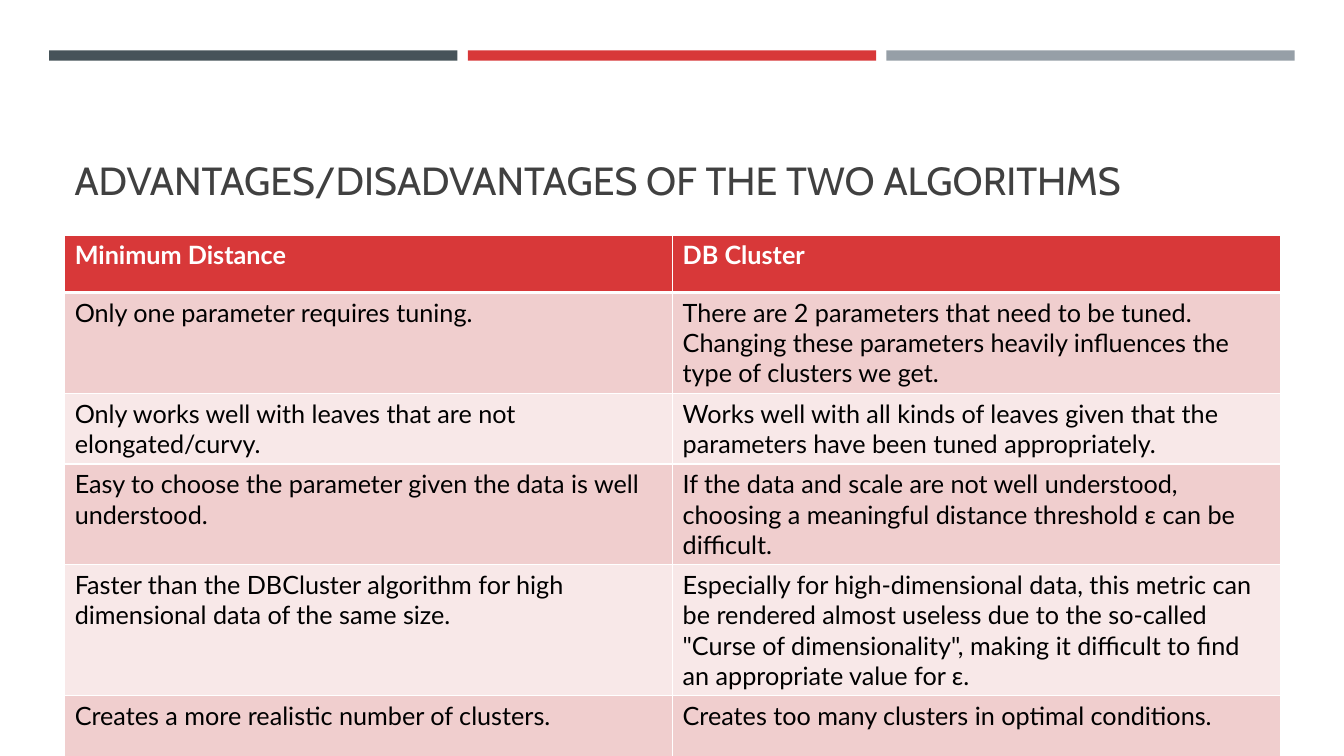
from dataclasses import dataclass

from lxml import etree
from pptx import Presentation
from pptx.dml.color import RGBColor
from pptx.enum.shapes import MSO_SHAPE
from pptx.enum.text import MSO_ANCHOR
from pptx.oxml.ns import qn
from pptx.slide import Slide
from pptx.table import _Cell
from pptx.text.text import TextFrame
from pptx.util import Cm, Pt

RECTANGLE = MSO_SHAPE.RECTANGLE
BOTTOM = MSO_ANCHOR.BOTTOM


@dataclass(frozen=True)
class Theme:
    slate: str = "465359"
    red: str = "D83839"
    gray: str = "969FA7"
    title: str = "404040"
    body: str = "000000"
    white: str = "FFFFFF"
    odd_band: str = "F0CECE"
    even_band: str = "F8E8E8"
    title_font: str = "Cabin"
    body_font: str = "Lato"
    title_size: int = 28
    body_size: int = 18


@dataclass(frozen=True)
class Comparison:
    minimum_distance: str
    db_cluster: str
    height: float


THEME = Theme()
MARGIN = 1.63
CONTENT_WIDTH = 30.64
BAR_LEFT, BAR_TOP, BAR_WIDTH, BAR_HEIGHT, BAR_PITCH = 1.24, 1.27, 10.29, 0.26, 10.55
BAR_COLORS = (THEME.slate, THEME.red, THEME.gray)

COMPARISONS = (
    Comparison("Minimum Distance", "DB Cluster", 1.45),
    Comparison(
        "Only one parameter requires tuning.",
        "There are 2 parameters that need to be tuned. Changing these parameters "
        "heavily influences the type of clusters we get.",
        2.46,
    ),
    Comparison(
        "Only works well with leaves that are not elongated/curvy.",
        "Works well with all kinds of leaves given that the parameters have been "
        "tuned appropriately.",
        1.73,
    ),
    Comparison(
        "Easy to choose the parameter given the data is well understood.",
        "If the data and scale are not well understood, choosing a meaningful "
        "distance threshold ε can be difficult.",
        1.73,
    ),
    Comparison(
        "Faster than the DBCluster algorithm for high dimensional data of the same size.",
        "Especially for high-dimensional data, this metric can be rendered almost "
        'useless due to the so-called "Curse of dimensionality", making it difficult '
        "to find an appropriate value for ε.",
        3.23,
    ),
    Comparison(
        "Creates a more realistic number of clusters.",
        "Creates too many clusters in optimal conditions.",
        2.03,
    ),
)


def write(frame: TextFrame, text: str, *, font: str = THEME.body_font,
          size: int = THEME.body_size, color: str = THEME.body,
          bold: bool = False) -> None:
    frame.word_wrap = True
    run = frame.paragraphs[0].add_run()
    run.text = text
    run.font.name = font
    run.font.size = Pt(size)
    run.font.bold = bold
    run.font.color.rgb = RGBColor.from_string(color)


def add_bar(slide: Slide, index: int, color: str) -> None:
    bar = slide.shapes.add_shape(
        RECTANGLE, Cm(BAR_LEFT + index * BAR_PITCH), Cm(BAR_TOP),
        Cm(BAR_WIDTH), Cm(BAR_HEIGHT))
    bar.shadow.inherit = False
    bar.fill.solid()
    bar.fill.fore_color.rgb = RGBColor.from_string(color)
    bar.line.fill.background()


def add_title(slide: Slide, text: str) -> None:
    title = slide.shapes.add_textbox(
        Cm(MARGIN), Cm(1.96), Cm(CONTENT_WIDTH), Cm(3.3))
    title.text_frame.vertical_anchor = BOTTOM
    write(title.text_frame, text, font=THEME.title_font,
          size=THEME.title_size, color=THEME.title)


def set_borders(cell: _Cell, top: int, bottom: int) -> None:
    """Add white borders with widths in points; call before filling the cell."""
    properties = cell._tc.get_or_add_tcPr()
    for side, width in (("L", 1), ("R", 1), ("T", top), ("B", bottom)):
        border = etree.SubElement(properties, qn(f"a:ln{side}"), w=str(Pt(width)))
        fill = etree.SubElement(border, qn("a:solidFill"))
        etree.SubElement(fill, qn("a:srgbClr"), val=THEME.white)


def add_comparison_table(slide: Slide, comparisons: tuple[Comparison, ...]) -> None:
    table = slide.shapes.add_table(
        len(comparisons), 2, Cm(MARGIN), Cm(5.92), Cm(CONTENT_WIDTH),
        Cm(sum(comparison.height for comparison in comparisons))).table
    for row, comparison in enumerate(comparisons):
        table.rows[row].height = Cm(comparison.height)
        is_header = row == 0
        band = THEME.odd_band if row % 2 else THEME.even_band
        for column, text in enumerate(
                (comparison.minimum_distance, comparison.db_cluster)):
            cell = table.cell(row, column)
            set_borders(cell, top=3 if row == 1 else 1, bottom=3 if is_header else 1)
            cell.fill.solid()
            cell.fill.fore_color.rgb = RGBColor.from_string(
                THEME.red if is_header else band)
            write(cell.text_frame, text, bold=is_header,
                  color=THEME.white if is_header else THEME.body)


def main() -> None:
    presentation = Presentation()
    presentation.slide_width = Cm(33.87)
    presentation.slide_height = Cm(19.05)
    slide = presentation.slides.add_slide(presentation.slide_layouts[6])
    for index, color in enumerate(BAR_COLORS):
        add_bar(slide, index, color)
    add_title(slide, "ADVANTAGES/DISADVANTAGES OF THE TWO ALGORITHMS")
    add_comparison_table(slide, COMPARISONS)
    presentation.save("out.pptx")


if __name__ == "__main__":
    main()
